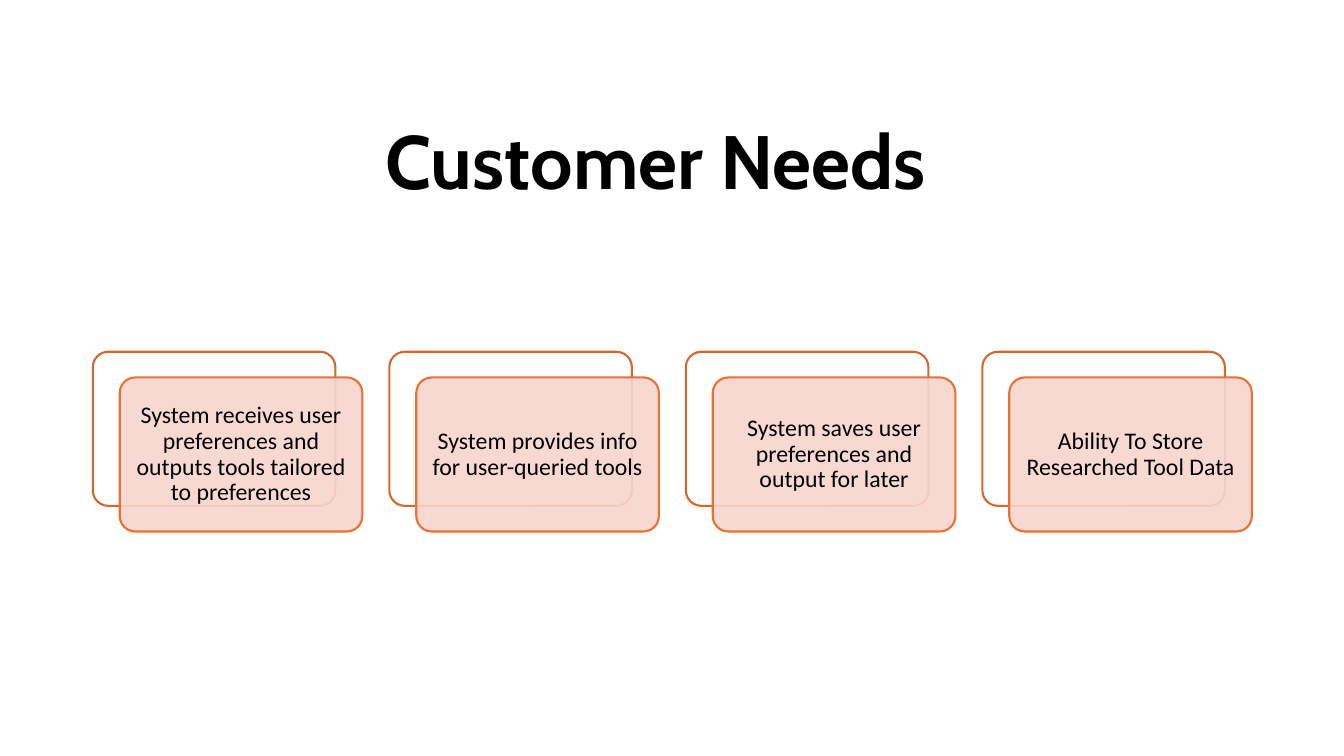
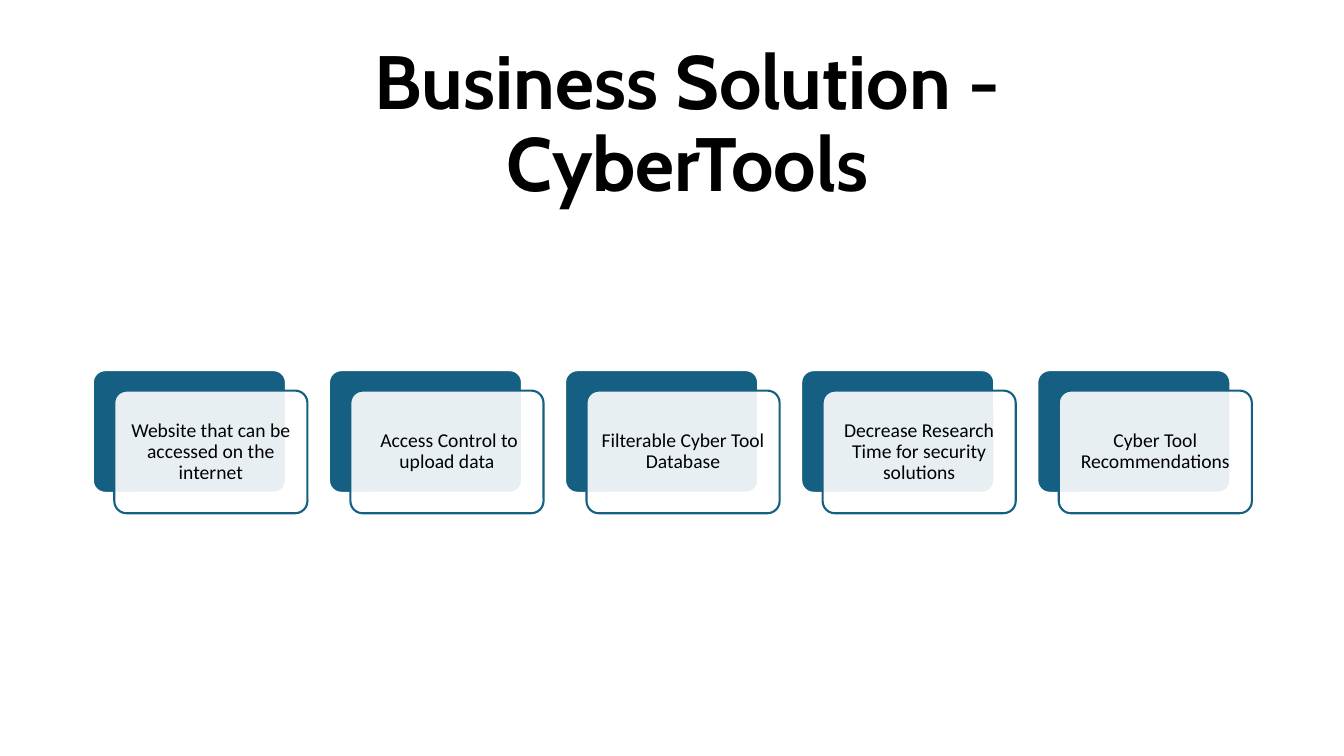
from lxml import etree
from pptx import Presentation
from pptx import util as u
from pptx.dml.color import RGBColor
from pptx.enum import shapes, text
from pptx.oxml.ns import qn

COLORS = {
    "ink": "000000",
    "white": "FFFFFF",
    "orange": "E97132",
    "rust": "D3672D",
    "blush": "F7D5CE",
    "teal": "156082",
}
TITLE_FONT = {"name": "Cabin", "size": u.Pt(54), "bold": True}
CARD_BOX = (2.34, 11.13, 29.21)
SLIDES = [
    {
        "title": "Customer Needs",
        "title_box": (9.47, 2.29, 14.94, 3.73),
        "align": text.PP_ALIGN.LEFT,
        "back": ("white", "rust"),
        "front": ("blush", "orange"),
        "size": 17,
        "inset": 0.18,
        "cards": [
            "System receives user preferences and outputs tools tailored to preferences",
            "System provides info for user-queried tools",
            "System saves user preferences and output for later",
            "Ability To Store Researched Tool Data",
        ],
    },
    {
        "title": "Business Solution - CyberTools",
        "title_box": (4.62, 1.57, 25.4, 3.2),
        "align": text.PP_ALIGN.CENTER,
        "back": ("teal", "white"),
        "front": ("white", "teal"),
        "size": 14,
        "inset": 0.15,
        "cards": [
            "Website that can be accessed on the internet",
            " Access Control to upload data",
            "Filterable Cyber Tool Database",
            "Decrease Research Time for security solutions",
            "Cyber Tool Recommendations",
        ],
    },
]


def rgb(name):
    return RGBColor.from_string(COLORS[name])


def set_all(obj, values):
    for name, value in values.items():
        setattr(obj, name, value)


def write(sp, content, align, font, inset=0.25):
    tf = sp.text_frame
    set_all(tf, {"word_wrap": True, "vertical_anchor": text.MSO_ANCHOR.MIDDLE})
    for side in ("left", "right", "top", "bottom"):
        setattr(tf, f"margin_{side}", u.Cm(inset))
    p = tf.paragraphs[0]
    set_all(p, {"alignment": align, "line_spacing": 0.9})
    r = p.add_run()
    r.text = content
    set_all(r.font, font)
    r.font.color.rgb = rgb("ink")


def add_title(s, box, content, align):
    sp = s.shapes.add_textbox(*map(u.Cm, box))
    write(sp, content, align, TITLE_FONT)


def add_panel(parent, box, style, opacity=None):
    sp = parent.shapes.add_shape(shapes.MSO_SHAPE.ROUNDED_RECTANGLE, *map(u.Cm, box))
    fill, line = style
    sp.adjustments[0] = 0.1
    sp.shadow.inherit = False
    sp.fill.solid()
    sp.fill.fore_color.rgb = rgb(fill)
    sp.line.color.rgb = rgb(line)
    sp.line.width = u.Pt(1.5)
    if opacity:
        color = sp.fill._xPr.find(qn("a:solidFill"))[0]
        etree.SubElement(color, qn("a:alpha")).set("val", str(opacity * 1000))
    return sp


def add_card_row(s, box, spec_row):
    left, middle, width = box
    cards = spec_row["cards"]
    w = 9 * width / (11 * len(cards) - 1)
    h = 0.635 * w
    dx, dy = w / 9, h / 6
    top = middle - (h + dy) / 2
    group = s.shapes.add_group_shape()
    font = {"name": "Calibri", "size": u.Pt(spec_row["size"])}
    for i, content in enumerate(cards):
        x = left + i * (w + 2 * dx)
        add_panel(group, (x, top, w, h), spec_row["back"])
        front = add_panel(group, (x + dx, top + dy, w, h), spec_row["front"], 90)
        write(front, content, text.PP_ALIGN.CENTER, font, spec_row["inset"])


def add_card_slide(prs, content):
    s = prs.slides.add_slide(prs.slide_layouts[6])
    s.background.fill.solid()
    s.background.fill.fore_color.rgb = rgb("white")
    add_title(s, content["title_box"], content["title"], content["align"])
    add_card_row(s, CARD_BOX, content)


def main():
    prs = Presentation()
    set_all(prs, {"slide_width": u.Cm(33.87), "slide_height": u.Cm(19.05)})
    for content in SLIDES:
        add_card_slide(prs, content)
    prs.save("out.pptx")


if __name__ == "__main__":
    main()
